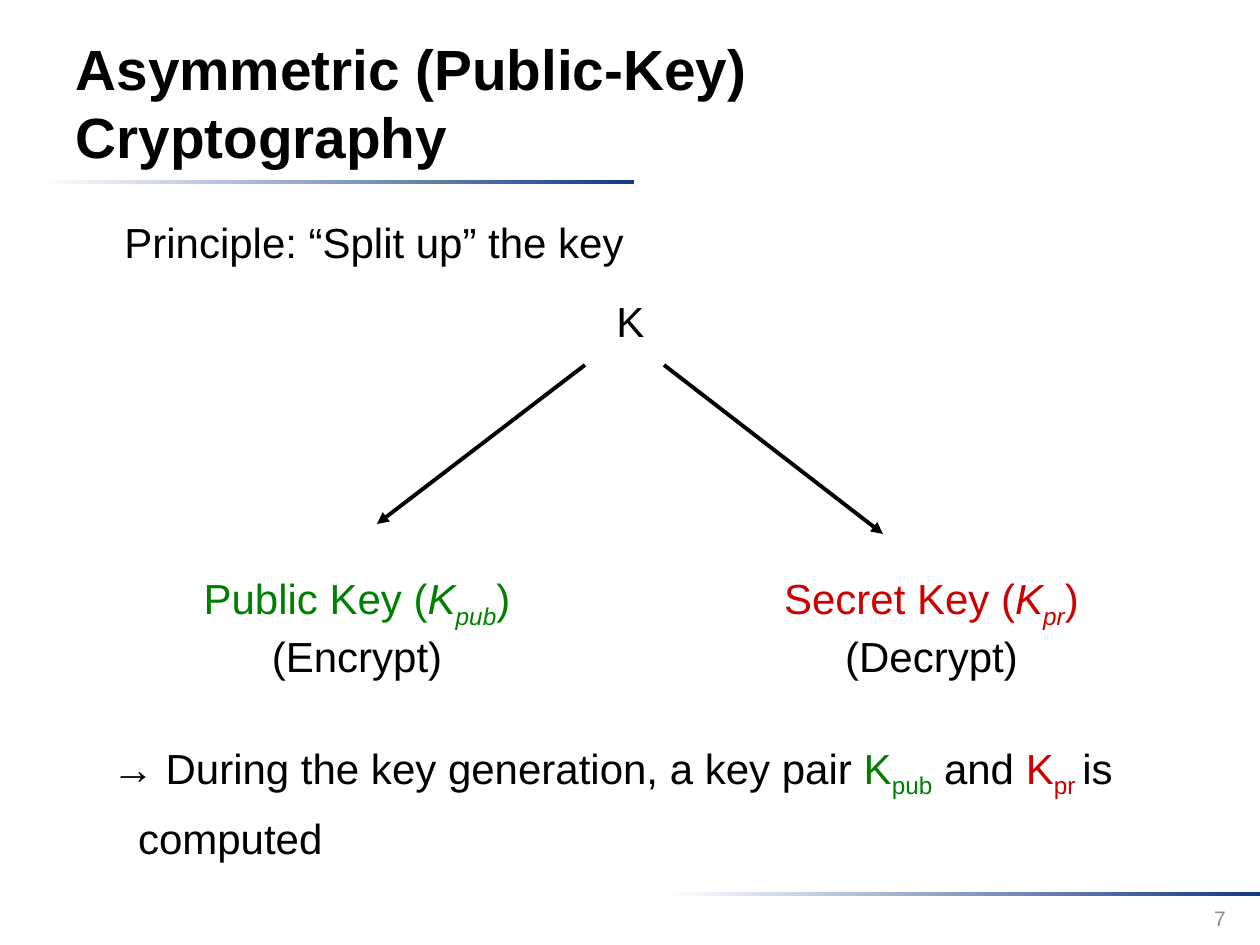
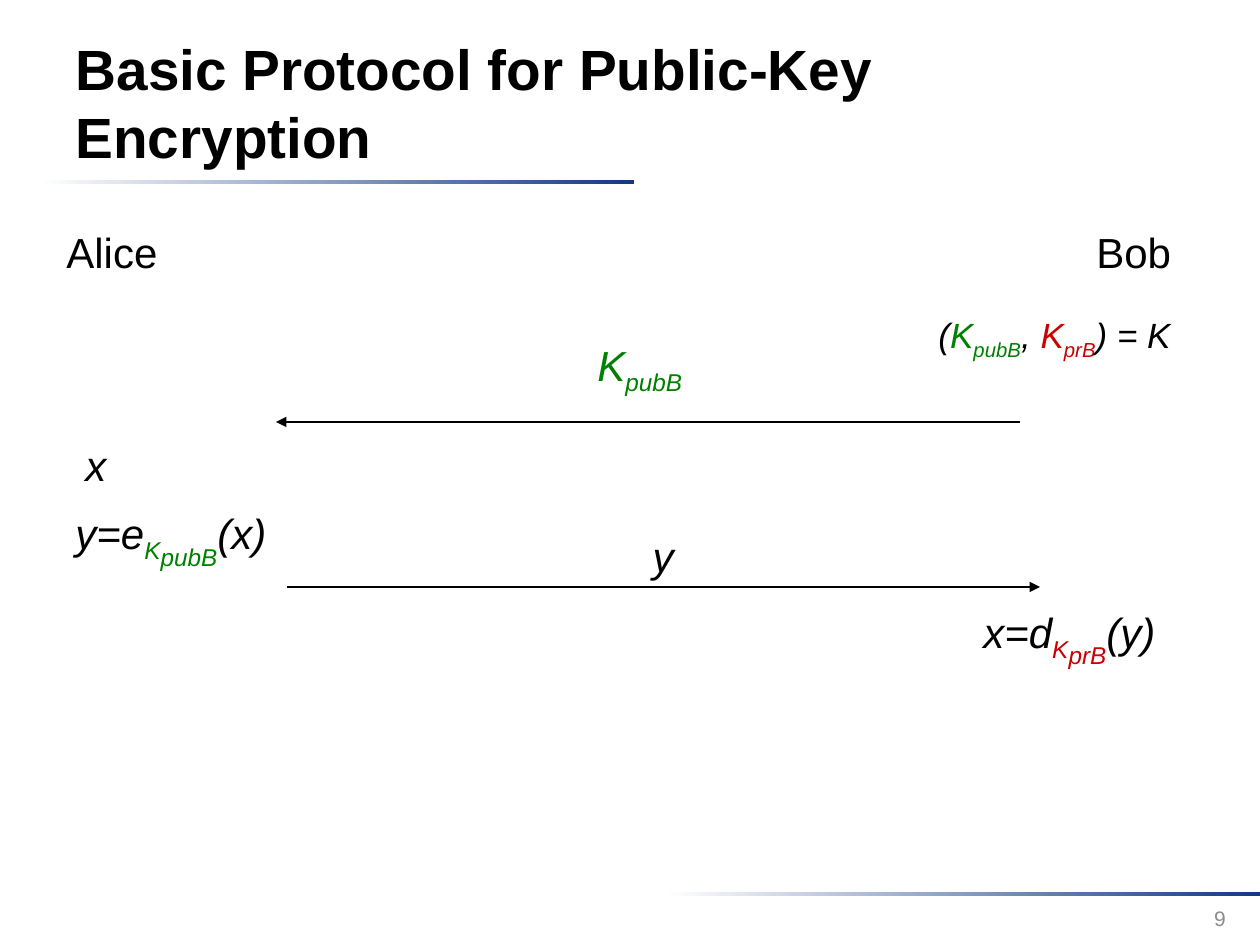
import pptx
import pptx.util
import pptx.dml.color
import pptx.enum.shapes
import pptx.enum.text
import lxml.etree

RGB = pptx.dml.color.RGBColor
ALIGN = pptx.enum.text.PP_ALIGN
ANCHOR = pptx.enum.text.MSO_ANCHOR

BLACK = RGB(0x00, 0x00, 0x00)
WHITE = RGB(0xFF, 0xFF, 0xFF)
NAVY = RGB(0x13, 0x39, 0x84)
GREY = RGB(0x8C, 0x8C, 0x8C)
GREEN = RGB(0x00, 0x80, 0x00)
RED = RGB(0xCC, 0x00, 0x00)

SCALE = 914400 / 126
FONT = "Arial"
SUB = -25
DEEP = -40
BANDS = [(39, 180), (665, 892)]


def px(num):
    return pptx.util.Emu(round(num * SCALE))


class Deck:
    def __init__(self):
        self.file = pptx.Presentation()
        self.file.slide_width = px(1260)
        self.file.slide_height = px(945)
        self.slide = None

    def page(self, title, number):
        layout = self.file.slide_layouts[5]
        self.slide = self.file.slides.add_slide(layout)
        for left, top in BANDS:
            self.band(left, top)
        self.title(title)
        self.text((944, 893, 294, 50), [(str(number),)], size=12, color=GREY,
                  align=ALIGN.RIGHT, anchor=ANCHOR.MIDDLE, before=0)

    def band(self, left, top):
        kind = pptx.enum.shapes.MSO_SHAPE.RECTANGLE
        bar = self.slide.shapes.add_shape(
            kind, px(left), px(top), px(595), px(4))
        bar.shadow.inherit = False
        bar.line.fill.background()
        bar.fill.gradient()
        bar.fill.gradient_angle = 0
        for stop, color in zip(bar.fill.gradient_stops, (WHITE, NAVY)):
            stop.color.rgb = color

    def style(self, para, size, color, align):
        para.alignment = align
        para.font.name = FONT
        para.font.size = pptx.util.Pt(size)
        para.font.color.rgb = color

    def title(self, text):
        box = self.slide.shapes.title
        box.left, box.top, box.width, box.height = map(px, (63, 23, 974, 157))
        frame = box.text_frame
        frame.text = text
        frame.auto_size = pptx.enum.text.MSO_AUTO_SIZE.NONE
        frame.vertical_anchor = ANCHOR.MIDDLE
        para = frame.paragraphs[0]
        self.style(para, 32.4, BLACK, ALIGN.LEFT)
        para.font.bold = True

    def text(self, rect, runs, size=24, color=BLACK, align=ALIGN.LEFT,
             anchor=ANCHOR.TOP, italic=False, inset=True, before=3,
             hang=0, lead=None):
        box = self.slide.shapes.add_textbox(*map(px, rect))
        frame = box.text_frame
        frame.word_wrap = True
        frame.vertical_anchor = anchor
        if not inset:
            frame.margin_left = frame.margin_right = 0
            frame.margin_top = frame.margin_bottom = 0
        para = frame.paragraphs[0]
        self.style(para, size, color, align)
        para.font.italic = italic
        para.space_before = pptx.util.Pt(before)
        if lead:
            para.line_spacing = lead
        if hang:
            props = para._p.get_or_add_pPr()
            props.set("marL", str(px(hang)))
            props.set("indent", str(-px(hang)))
        for item in runs:
            self.run(para, *item)

    def run(self, para, text, color=None, base=0, slant=None):
        run = para.add_run()
        run.text = text
        if color is not None:
            run.font.color.rgb = color
        if slant is not None:
            run.font.italic = slant
        if base:
            run._r.get_or_add_rPr().set("baseline", str(base * 1000))

    def arrow(self, start, end, width):
        kind = pptx.enum.shapes.MSO_CONNECTOR.STRAIGHT
        line = self.slide.shapes.add_connector(
            kind, *map(px, (*start, *end)))
        line.line.color.rgb = BLACK
        line.line.width = pptx.util.Pt(width)
        space = pptx.oxml.ns.qn
        tail = lxml.etree.SubElement(
            line.line._get_or_add_ln(), space("a:tailEnd"))
        tail.set("type", "triangle")
        lxml.etree.SubElement(
            line._element.spPr, space("a:effectLst"))

    def save(self):
        self.file.save("out.pptx")


def split(deck):
    deck.page("Asymmetric (Public-Key) Cryptography", 7)
    deck.text((112, 210, 592, 72), [("Principle: “Split up” the key",)])
    deck.text((556, 296, 149, 50), [("K",)], align=ALIGN.CENTER, inset=False)
    keys = [
        (139, 436, "Public", "pub", "Encrypt", GREEN),
        (743, 377, "Secret", "pr", "Decrypt", RED),
    ]
    for left, width, name, sub, use, color in keys:
        runs = [(f"{name} Key (", color), ("K", color, 0, True),
                (sub, color, SUB, True), (")", color), (f" ({use})",)]
        deck.text((left, 573, width, 102), runs,
                  align=ALIGN.CENTER, inset=False)
    deck.arrow((585, 365), (377, 524), 2.25)
    deck.arrow((664, 365), (883, 534), 2.25)
    pair = [("→ During the key generation, a key pair ",), ("K", GREEN),
            ("pub", GREEN, SUB), (" and ",), ("K", RED), ("pr ", RED, SUB),
            ("is computed",)]
    deck.text((112, 728, 1105, 127), pair, inset=False, hang=26, lead=1.25)


def swap(deck):
    deck.page("Basic Protocol for Public-Key Encryption", 9)
    public = [("K", GREEN), ("pubB", GREEN, SUB)]
    secret = [("K", RED), ("prB", RED, SUB)]
    deck.text((54, 220, 168, 63), [("Alice",)])
    deck.text((1084, 220, 136, 63), [("Bob",)])
    deck.arrow((1020, 422), (276, 422), 0.75)
    deck.text((585, 333, 142, 82), public, italic=True)
    deck.text((73, 433, 105, 63), [("x",)], italic=True)
    deck.arrow((287, 587), (1040, 587), 0.75)
    deck.text((596, 524, 134, 63), [("y",)], align=ALIGN.CENTER, italic=True)
    steps = [
        (63, 501, "y=e", "pubB", "(x)", GREEN),
        (971, 600, "x=d", "prB", "(y)", RED),
    ]
    for left, top, head, sub, tail, color in steps:
        runs = [(head,), ("K", color, SUB), (sub, color, DEEP), (tail,)]
        deck.text((left, top, 242, 63), runs, italic=True)
    pair = [("(",), *public, (", ",), *secret, (") = K",)]
    deck.text((926, 307, 272, 54), pair, size=20, italic=True)


def main():
    deck = Deck()
    split(deck)
    swap(deck)
    deck.save()


if __name__ == "__main__":
    main()
